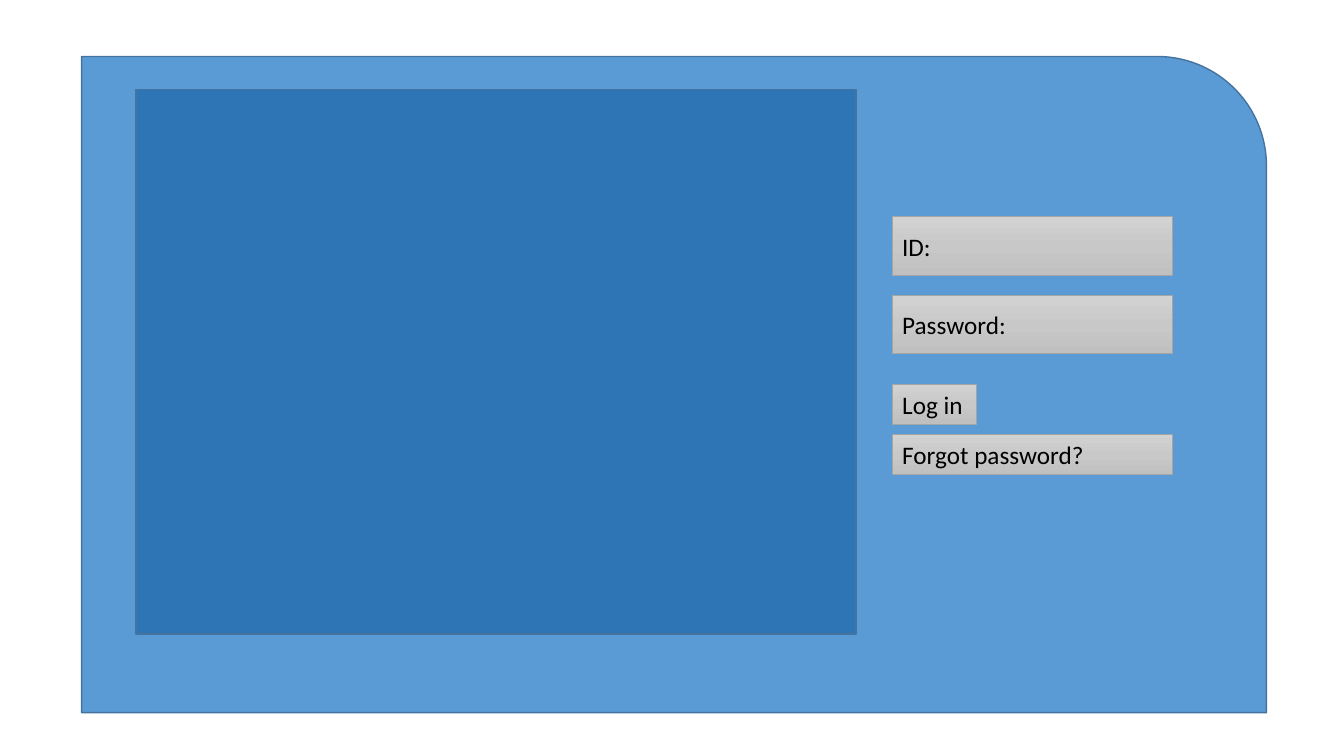
from copy import deepcopy
from dataclasses import dataclass

from pptx import Presentation
from pptx.dml.color import RGBColor as RGB
from pptx.enum.shapes import MSO_SHAPE as Shape
from pptx.enum.text import MSO_ANCHOR as Anchor, PP_ALIGN as Align
from pptx.util import Inches, Pt

COLORS = {
    "card": "5B9BD5", "panel": "2E75B6", "edge": "43739E",
    "top": "D2D2D2", "middle": "C8C8C8", "bottom": "C0C0C0",
    "border": "A5A5A5", "text": "000000",
}
FONT = {"name": "Calibri", "size": Pt(18)}
FRAME = {"word_wrap": True, "vertical_anchor": Anchor.MIDDLE}

FORM_LEFT, FORM_WIDTH = 66.39, 20.86
INPUT_HEIGHT, BUTTON_HEIGHT = 7.73, 5.33


@dataclass
class Block:
    kind: Shape
    left: float
    top: float
    width: float
    height: float
    fill: str


@dataclass
class Field:
    label: str
    top: float
    height: float
    width: float = FORM_WIDTH


BLOCKS = [
    Block(Shape.ROUND_1_RECTANGLE, 6.08, 7.47, 88.15, 86.8, "card"),
    Block(Shape.RECTANGLE, 10.13, 11.87, 53.56, 72, "panel"),
]
FIELDS = [
    Field("ID: ", 28.67, INPUT_HEIGHT),
    Field("Password: ", 39.07, INPUT_HEIGHT),
    Field("Log in", 50.8, BUTTON_HEIGHT, 6.23),
    Field("Forgot password?", 57.47, BUTTON_HEIGHT),
]


def color(key: str) -> RGB:
    return RGB.from_string(COLORS[key])


def apply(target, values: dict) -> None:
    for name, value in values.items():
        setattr(target, name, value)


def add_box(kind: Shape, left: float, top: float, width: float, height: float,
            line: str, weight: float):
    x, w = (int(prs.slide_width * v / 100) for v in (left, width))
    y, h = (int(prs.slide_height * v / 100) for v in (top, height))
    sp = slide.shapes.add_shape(kind, x, y, w, h)
    sp.shadow.inherit = False
    sp.line.color.rgb = color(line)
    sp.line.width = Pt(weight)
    return sp


def shade(sp) -> None:
    sp.fill.gradient()
    sp.fill.gradient_angle = 270
    first = sp.fill._fill._gradFill.gsLst[0]
    first.addnext(deepcopy(first))
    stops = zip(sp.fill.gradient_stops, (0, 0.5, 1), ("top", "middle", "bottom"))
    for stop, position, key in stops:
        stop.position = position
        stop.color.rgb = color(key)


def draw_block(block: Block) -> None:
    sp = add_box(block.kind, block.left, block.top, block.width, block.height,
                 "edge", 1)
    sp.fill.solid()
    sp.fill.fore_color.rgb = color(block.fill)


def draw_field(field: Field) -> None:
    sp = add_box(Shape.RECTANGLE, FORM_LEFT, field.top, field.width,
                 field.height, "border", 0.5)
    shade(sp)
    tf = sp.text_frame
    apply(tf, FRAME)
    p = tf.paragraphs[0]
    p.alignment = Align.LEFT
    r = p.add_run()
    r.text = field.label
    apply(r.font, FONT)
    r.font.color.rgb = color("text")


prs = Presentation()
prs.slide_width, prs.slide_height = Inches(13.33), Inches(7.5)
slide = prs.slides.add_slide(prs.slide_layouts[6])

for block in BLOCKS:
    draw_block(block)
for field in FIELDS:
    draw_field(field)

prs.save("out.pptx")
